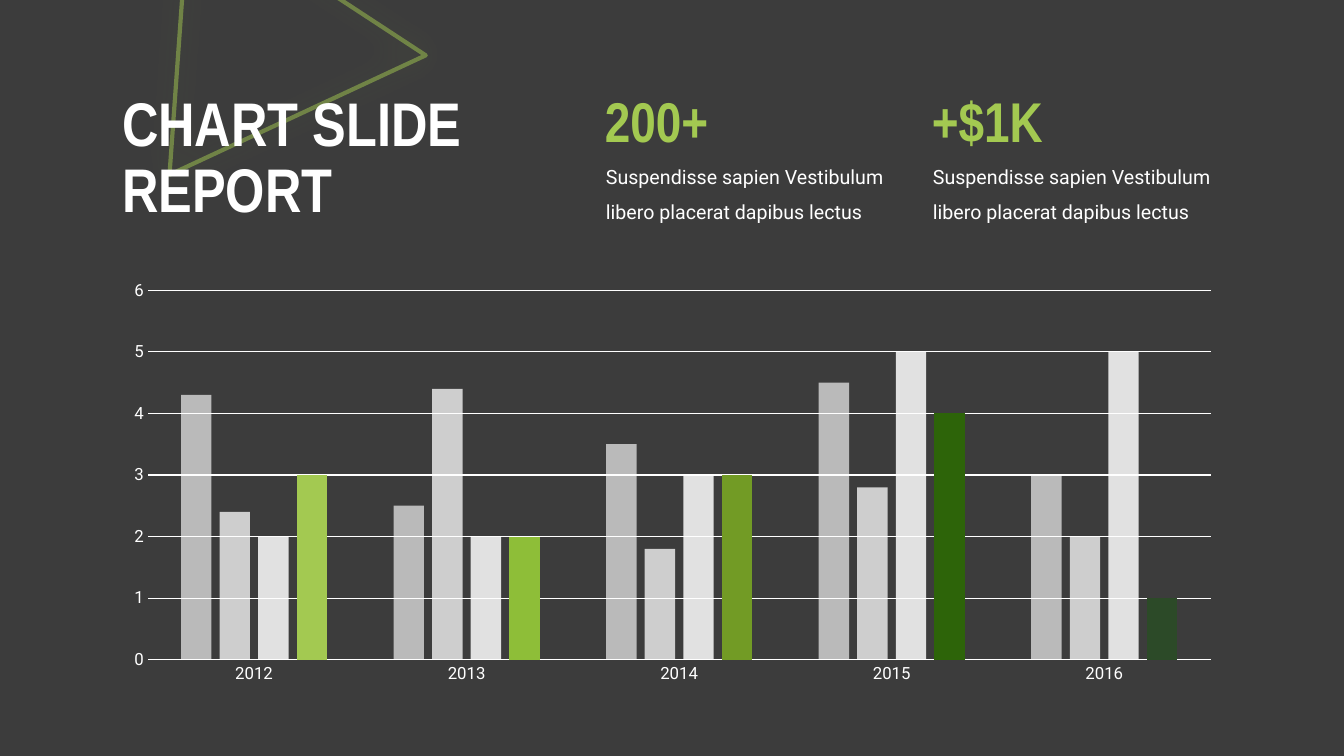
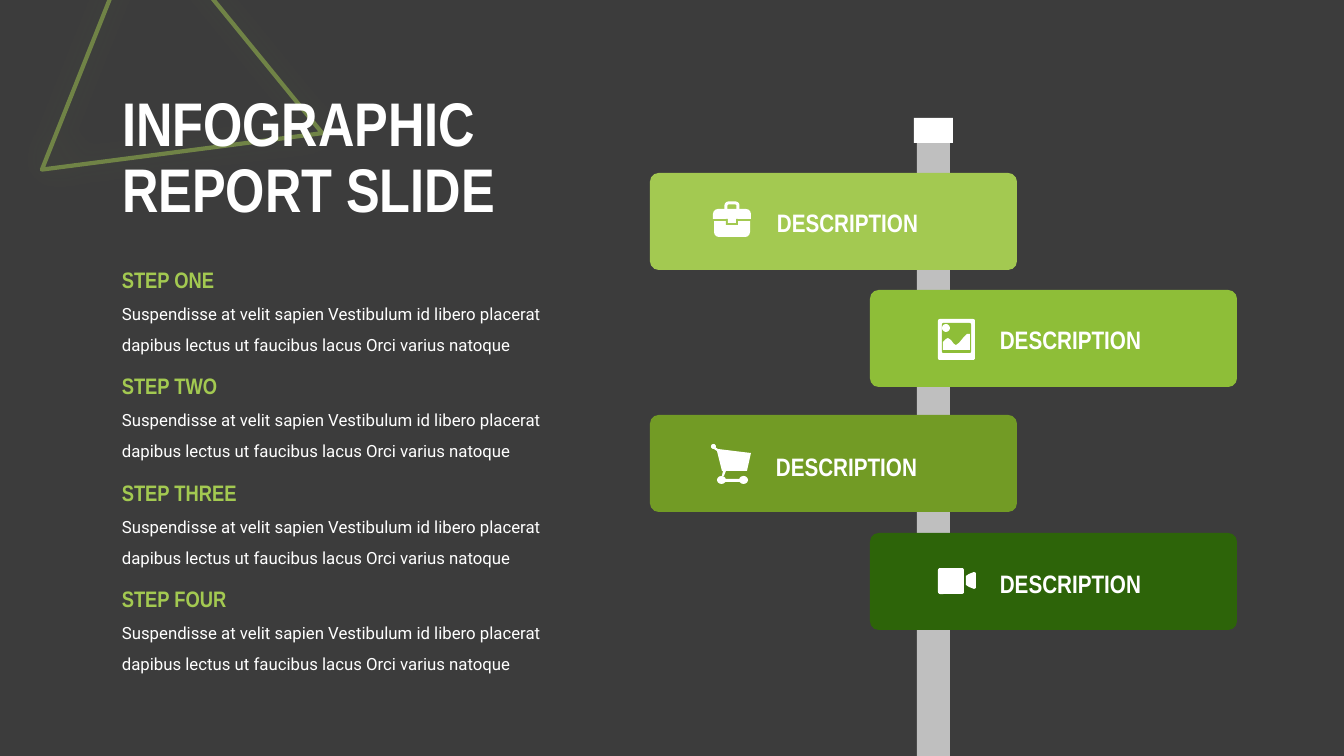
import dataclasses

import pptx
import pptx.chart.data
import pptx.dml.color
import pptx.enum.chart
import pptx.enum.shapes
import pptx.enum.text
import pptx.oxml.ns
import pptx.util
from lxml import etree

WIDE, HIGH = 1344, 756
SCALE = 12192000 / WIDE
KIND = pptx.enum.shapes.MSO_SHAPE
FIT = pptx.enum.text.MSO_AUTO_SIZE
qn = pptx.oxml.ns.qn


@dataclasses.dataclass(frozen=True)
class Theme:
    back: str = "3C3C3C"
    white: str = "FFFFFF"
    pole: str = "BFBFBF"
    greens: tuple = ("A3C951", "8EBE38", "729B25", "2D6409", "2C4A28")
    head: str = "Arial Narrow"
    body: str = "Roboto"
    title: int = 44
    stat: int = 40
    label: int = 18
    step: int = 16
    note: int = 14
    small: int = 12


LOOK = Theme()
LIME = LOOK.greens[0]


def px(num):
    return pptx.util.Emu(round(num * SCALE))


def box(*nums):
    return [px(num) for num in nums]


def rgb(code):
    return pptx.dml.color.RGBColor.from_string(code)


def paint(fill, code):
    fill.solid()
    fill.fore_color.rgb = rgb(code)


def fade(root, part):
    for tone in root.iter(qn("a:srgbClr")):
        etree.SubElement(tone, qn("a:alpha"), val=str(part * 1000))


def style(font, size, code, name, bold=False):
    font.size = pptx.util.Pt(size)
    font.color.rgb = rgb(code)
    font.name = name
    font.bold = bold


def write(frame, text, size, code, name, bold=False, lead=1.0):
    frame.word_wrap = True
    para = frame.paragraphs[0]
    para.text = text
    para.alignment = pptx.enum.text.PP_ALIGN.LEFT
    para.line_spacing = lead
    for run in para.runs:
        style(run.font, size, code, name, bold)


def add_text(shapes, area, text, size, code, name, bold=False, lead=1.0):
    frame = shapes.add_textbox(*box(*area)).text_frame
    frame.auto_size = FIT.SHAPE_TO_FIT_TEXT
    write(frame, text, size, code, name, bold, lead)


def add_head(shapes, area, text, size, code=LIME):
    add_text(shapes, area, text, size, code, LOOK.head, True)


def add_body(shapes, area, text, size):
    add_text(shapes, area, text, size, LOOK.white, LOOK.body, lead=1.5)


def finish(shape, code):
    shape.shadow.inherit = False
    paint(shape.fill, code)
    shape.line.fill.background()


def add_block(shapes, kind, area, code, bend=None):
    shape = shapes.add_shape(kind, *box(*area))
    finish(shape, code)
    if bend is not None:
        shape.adjustments[0] = bend
    return shape


def add_poly(shapes, left, top, points, code):
    form = shapes.build_freeform(*points[0], scale=SCALE)
    form.add_line_segments(points[1:], close=True)
    finish(form.convert_to_shape(px(left), px(top)), code)


def add_mark(slide, left, top, turn):
    mark = slide.shapes.add_shape(KIND.ISOSCELES_TRIANGLE,
                                  *box(left, top, 275, 247))
    mark.rotation = turn
    mark.fill.background()
    paint(mark.line.fill, LIME)
    mark.line.width = pptx.util.Pt(3)
    fade(mark._element.spPr, 50)
    mark.shadow.inherit = False
    glow = etree.SubElement(mark._element.spPr.find(qn("a:effectLst")),
                            qn("a:outerShdw"), blurRad=str(pptx.util.Pt(25)),
                            dist="0", algn="ctr", rotWithShape="0")
    etree.SubElement(glow, qn("a:srgbClr"), val=LIME)
    fade(glow, 35)
    slide.shapes.title._element.addprevious(mark._element)


def add_slide(deck, text, *mark):
    slide = deck.slides.add_slide(deck.slide_layouts[5])
    title = slide.shapes.title
    title.left, title.top, title.width, title.height = box(112, 80, 566, 159)
    frame = title.text_frame
    frame.auto_size = FIT.NONE
    frame.vertical_anchor = pptx.enum.text.MSO_ANCHOR.MIDDLE
    write(frame, text, LOOK.title, LOOK.white, LOOK.head, True, 0.9)
    add_mark(slide, *mark)
    return slide


def style_line(line):
    paint(line.fill, LOOK.white)
    line.width = pptx.util.Pt(0.75)


def add_bars(shapes):
    data = pptx.chart.data.CategoryChartData()
    data.categories = ["2012", "2013", "2014", "2015", "2016"]
    rows = [(4.3, 2.5, 3.5, 4.5, 3), (2.4, 4.4, 1.8, 2.8, 2),
            (2, 2, 3, 5, 5), (3, 2, 3, 4, 1)]
    for num, row in enumerate(rows, 1):
        data.add_series(f"Series {num}", row)
    kind = pptx.enum.chart.XL_CHART_TYPE.COLUMN_CLUSTERED
    chart = shapes.add_chart(kind, *box(112, 272, 1121, 420), data).chart
    chart.has_legend = False
    chart.has_title = False
    style(chart.font, LOOK.small, LOOK.white, LOOK.body)
    for axis in (chart.category_axis, chart.value_axis):
        axis.major_tick_mark = pptx.enum.chart.XL_TICK_MARK.NONE
        axis.minor_tick_mark = pptx.enum.chart.XL_TICK_MARK.NONE
        style(axis.tick_labels.font, LOOK.small, LOOK.white, LOOK.body)
    style_line(chart.category_axis.format.line)
    scale = chart.value_axis
    scale.minimum_scale, scale.maximum_scale, scale.major_unit = 0, 6, 1
    scale.format.line.fill.background()
    style_line(scale.major_gridlines.format.line)
    plot = chart.plots[0]
    plot.gap_width, plot.overlap = 219, -27
    plot.vary_by_categories = False
    *pale, last = plot.series
    for bars, part in zip(pale, (65, 75, 85)):
        paint(bars.format.fill, LOOK.white)
        fade(bars._element, part)
    paint(last.format.fill, LIME)
    for num, code in enumerate(LOOK.greens[1:], 1):
        paint(last.points[num].format.fill, code)


def draw_case(shapes, x, y, back):
    grip = add_block(shapes, KIND.ROUNDED_RECTANGLE,
                     (x + 13, y + 1, 12, 10), back, 0.25)
    paint(grip.line.fill, LOOK.white)
    grip.line.width = px(3)
    fold = KIND.ROUND_2_SAME_RECTANGLE
    add_block(shapes, fold, (x, y + 7, 38, 10), LOOK.white, 0.5)
    base = add_block(shapes, fold, (x + 1, y + 19, 36, 16), LOOK.white, 0.31)
    base.rotation = 180
    add_block(shapes, KIND.RECTANGLE, (x + 13, y + 17, 12, 6), back)
    add_block(shapes, KIND.RECTANGLE, (x + 15, y + 16, 8, 5), LOOK.white)


def draw_photo(shapes, x, y, back):
    frame = KIND.ROUNDED_RECTANGLE
    add_block(shapes, frame, (x, y, 37, 41), LOOK.white, 0.05)
    add_block(shapes, frame, (x + 4, y + 4, 29, 30), back, 0.05)
    add_block(shapes, KIND.OVAL, (x + 4, y + 5, 8, 8), LOOK.white)
    hill = [(5, 23), (8, 20), (10, 19), (13, 21), (16, 25), (18, 26),
            (21, 24), (26, 18), (29, 15), (32, 15), (32, 31), (5, 31)]
    add_poly(shapes, x, y, hill, LOOK.white)


def draw_cart(shapes, x, y, back):
    body = [(15, 27), (36, 27), (40, 9), (7, 5), (4, 3), (3, 5), (6, 7),
            (11, 27), (12, 27), (11, 32), (13, 32)]
    add_poly(shapes, x, y, body, LOOK.white)
    add_block(shapes, KIND.OVAL, (x, y, 5, 5), LOOK.white)
    for left in (6, 28):
        add_block(shapes, KIND.OVAL, (x + left, y + 32, 9, 8), LOOK.white)
    add_block(shapes, KIND.RECTANGLE, (x + 14, y + 35, 15, 3), LOOK.white)


def draw_film(shapes, x, y, back):
    add_block(shapes, KIND.ROUNDED_RECTANGLE, (x, y + 6, 26, 26),
              LOOK.white, 0.08)
    lens = [(28, 14), (31, 12), (36, 10), (38, 11), (38, 26), (36, 27),
            (31, 25), (28, 23)]
    add_poly(shapes, x, y, lens, LOOK.white)


def add_sign(shapes, code, draw, x, y, icon, label, drop):
    add_block(shapes, KIND.ROUNDED_RECTANGLE, (x, y, 367, 97), code, 0.09)
    draw(shapes.add_group_shape().shapes, x + icon, y + 29, code)
    add_head(shapes, (x + label, y + drop, 190, 40), "DESCRIPTION",
             LOOK.label, LOOK.white)


def chart_slide(deck):
    shapes = add_slide(deck, "CHART SLIDE\nREPORT", 165, -77, 94.1).shapes
    add_bars(shapes)
    for left, stat in ((595, "200+"), (922, "+$1K")):
        add_body(shapes, (left + 1, 148, 332, 78),
                 "Suspendisse sapien Vestibulum libero placerat dapibus lectus",
                 LOOK.note)
        add_head(shapes, (left, 82, 180, 78), stat, LOOK.stat)


def sign_slide(deck):
    shapes = add_slide(deck, "INFOGRAPHIC\nREPORT SLIDE",
                       70, -36, 111.7).shapes
    add_block(shapes, KIND.RECTANGLE, (917, 133, 33, HIGH - 133), LOOK.pole)
    add_block(shapes, KIND.RECTANGLE, (914, 118, 39, 25), LOOK.white)
    signs = [(draw_case, 650, 173, 63, 117, 29),
             (draw_photo, 870, 290, 68, 120, 29),
             (draw_cart, 650, 415, 61, 116, 31),
             (draw_film, 870, 533, 68, 120, 30)]
    for code, sign in zip(LOOK.greens, signs):
        add_sign(shapes, code, *sign)
    for num, name in enumerate(("ONE", "TWO", "THREE", "FOUR")):
        top = 261 + num * 213 // 2
        add_body(shapes, (112, top + 28, 454, 67),
                 "Suspendisse at velit sapien Vestibulum id libero placerat "
                 "dapibus lectus ut faucibus lacus Orci varius natoque",
                 LOOK.small)
        add_head(shapes, (112, top, 247, 37), f"STEP {name}", LOOK.step)


def main():
    deck = pptx.Presentation()
    deck.slide_width, deck.slide_height = box(WIDE, HIGH)
    paint(deck.slide_master.background.fill, LOOK.back)
    chart_slide(deck)
    sign_slide(deck)
    deck.save("out.pptx")


if __name__ == "__main__":
    main()
